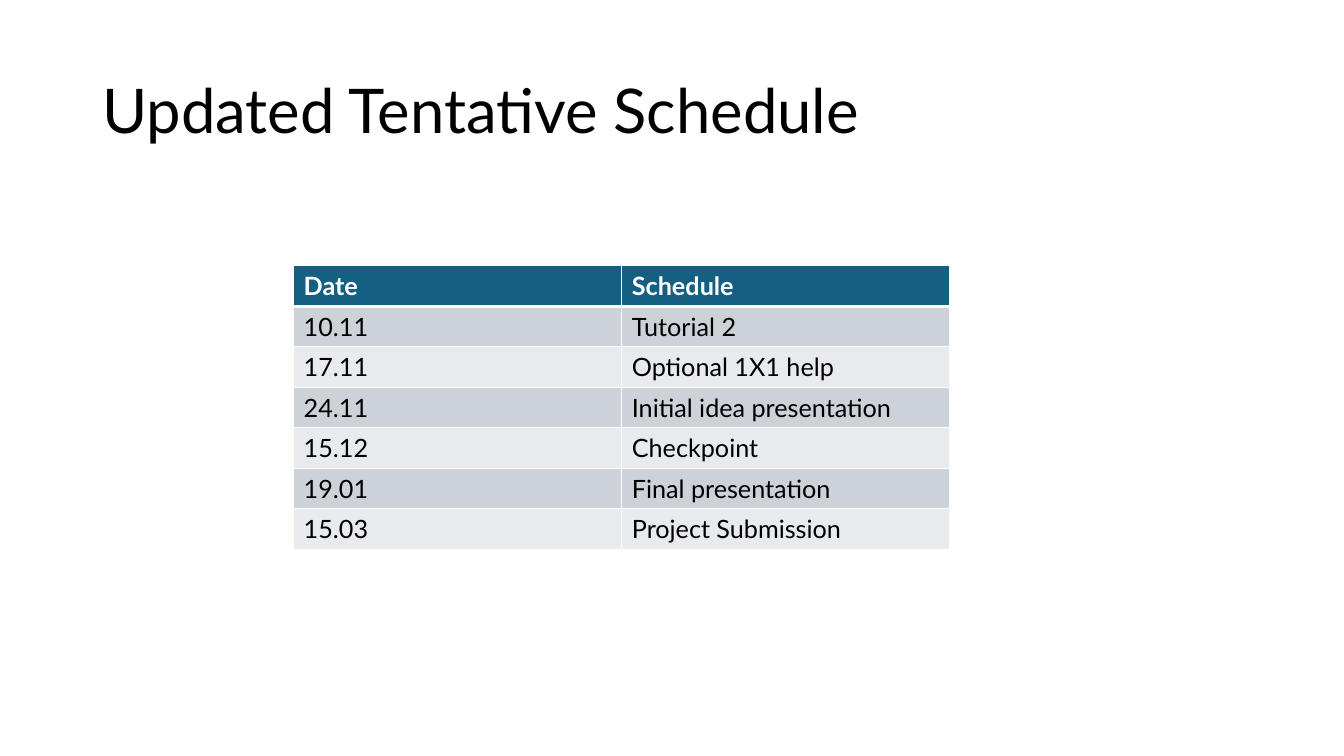
from lxml import etree
from pptx import Presentation
from pptx import util as u
from pptx.dml.color import RGBColor
from pptx.enum import text
from pptx.oxml import ns


def color(value):
    return RGBColor.from_string(value)


class Deck:
    font = "Lato"
    black, white = "000000", "FFFFFF"
    header, bands = "156082", ("CCD2D8", "E8EAED")

    def __init__(self, width, height):
        self.prs = Presentation()
        self.prs.slide_width, self.prs.slide_height = u.Cm(width), u.Cm(height)
        self.s = self.prs.slides.add_slide(self.prs.slide_layouts[6])

    def label(self, tf, words, size, shade, bold=False):
        p = tf.paragraphs[0]
        r = p.add_run()
        r.text = words
        style = {"name": self.font, "size": u.Pt(size), "bold": bold}
        for key, value in style.items():
            setattr(r.font, key, value)
        r.font.color.rgb = color(shade)
        return p

    def title(self, words, box):
        sp = self.s.shapes.add_textbox(*map(u.Cm, box))
        tf = sp.text_frame
        tf.word_wrap = True
        tf.vertical_anchor = text.MSO_ANCHOR.MIDDLE
        self.label(tf, words, 44, self.black).line_spacing = 0.9

    def border(self, cell, side, width):
        tc_pr = cell._tc.get_or_add_tcPr()
        ln = etree.SubElement(tc_pr, ns.qn(f"a:ln{side}"), w=str(u.Pt(width)))
        fill = etree.SubElement(ln, ns.qn("a:solidFill"))
        etree.SubElement(fill, ns.qn("a:srgbClr"), val=self.white)

    def table(self, rows, left, top, col_width, row_height):
        count, cols = len(rows), len(rows[0])
        size = (col_width * cols, row_height * count)
        frame = self.s.shapes.add_table(count, cols, *map(u.Cm, (left, top, *size)))
        tbl = frame.table
        for col in tbl.columns:
            col.width = u.Cm(col_width)
        for i, row in enumerate(rows):
            tbl.rows[i].height = u.Cm(row_height)
            is_header = i == 0
            fill = self.header if is_header else self.bands[(i - 1) % 2]
            shade = self.white if is_header else self.black
            widths = {"L": 1, "R": 1, "T": 3 if i == 1 else 1, "B": 3 if is_header else 1}
            for j, words in enumerate(row):
                cell = tbl.cell(i, j)
                for side, width in widths.items():
                    self.border(cell, side, width)
                cell.fill.solid()
                cell.fill.fore_color.rgb = color(fill)
                self.label(cell.text_frame, words, 18, shade, is_header)


def main():
    deck = Deck(33.87, 19.05)
    deck.title("Updated Tentative Schedule", (2.33, 1.01, 29.21, 3.68))
    schedule = [
        ("Date", "Schedule"),
        ("10.11", "Tutorial 2"),
        ("17.11", "Optional 1X1 help"),
        ("24.11", "Initial idea presentation"),
        ("15.12", "Checkpoint"),
        ("19.01", "Final presentation"),
        ("15.03", "Project Submission"),
    ]
    deck.table(schedule, left=7.4, top=6.7, col_width=8.27, row_height=1.02)
    deck.prs.save("out.pptx")


if __name__ == "__main__":
    main()
